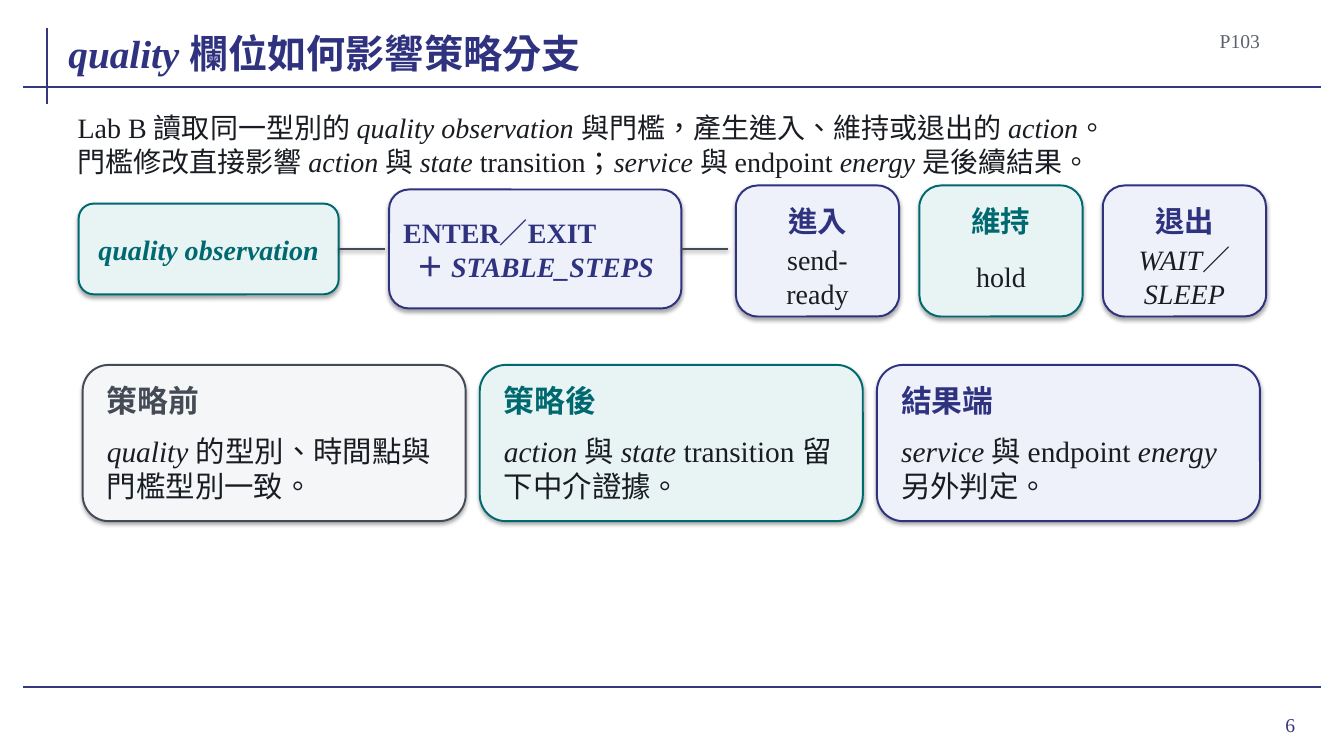
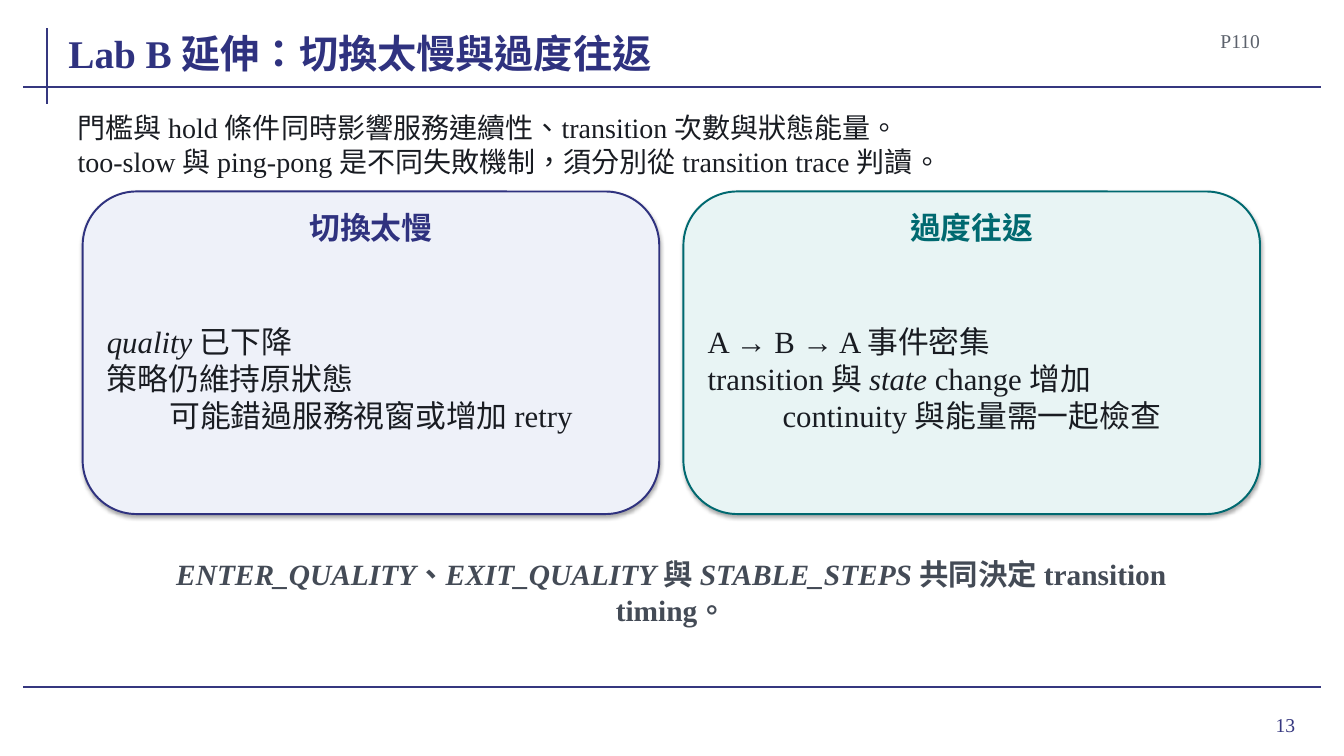
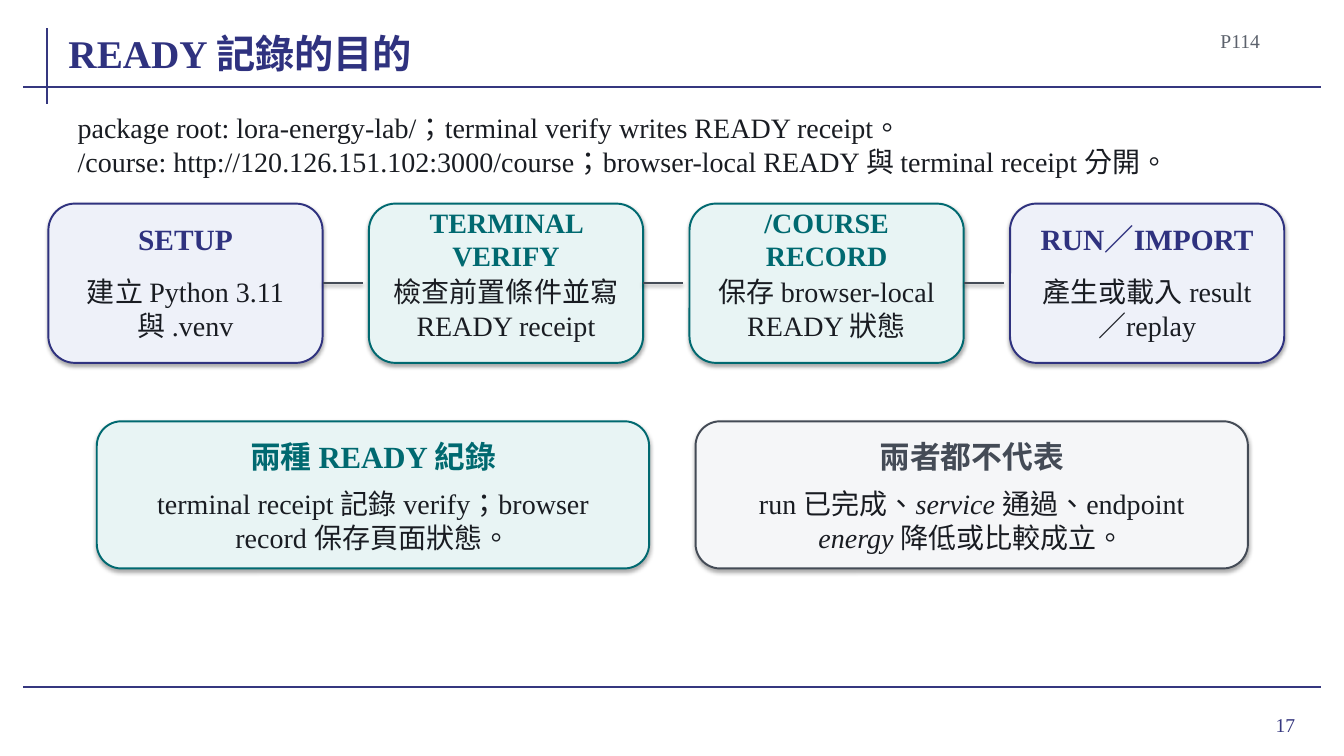
import pptx
import pptx.util
import pptx.dml.color
import pptx.enum.dml
import pptx.enum.lang
import pptx.enum.shapes
import pptx.enum.text
import pptx.oxml
import pptx.oxml.ns

# Shared style: lengths are columns and rows of a grid with 0.1 inch cells
CELL = 0.1
COLS, ROWS = 133.33, 75
FONT = "Times New Roman"
HUES = {"rule": "35377F", "navy": "2F327F", "teal": "006970", "gray": "444B56",
        "ink": "191C22", "mute": "5C626C", "page": "FFFFFF"}
FILLS = {"navy": "EEF1F9", "teal": "E8F4F4", "gray": "F5F6F8"}
ALIGN = pptx.enum.text.PP_ALIGN
LEFT, MID, RIGHT = ALIGN.LEFT, ALIGN.CENTER, ALIGN.RIGHT
ANCHOR = pptx.enum.text.MSO_ANCHOR
FIT = pptx.enum.text.MSO_AUTO_SIZE
LINK_Y = 24.7


def cell(num):
    return pptx.util.Inches(num * CELL)


def tint(code):
    return pptx.dml.color.RGBColor.from_string(code)


def shade(shape, alpha=0, dist=0):
    """Set a soft shadow, or an empty effect list when alpha is 0."""
    props = shape._element.spPr
    old = props.find(pptx.oxml.ns.qn("a:effectLst"))
    if old is not None:
        props.remove(old)
    drop = ""
    if alpha:
        drop = (f'<a:outerShdw blurRad="{pptx.util.Pt(3.1)}" dist="{pptx.util.Pt(dist)}" '
                'dir="5400000" algn="t" rotWithShape="0"><a:srgbClr val="000000">'
                f'<a:alpha val="{alpha * 1000}"/></a:srgbClr></a:outerShdw>')
    props.append(pptx.oxml.parse_xml(
        f'<a:effectLst {pptx.oxml.ns.nsdecls("a")}>{drop}</a:effectLst>'))


def rule(slide, x1, y1, x2, y2, hue="rule"):
    line = slide.shapes.add_connector(pptx.enum.shapes.MSO_CONNECTOR.STRAIGHT,
                                      cell(x1), cell(y1), cell(x2), cell(y2))
    line.line.color.rgb = tint(HUES[hue])
    line.line.width = pptx.util.Pt(1.5)
    shade(line)
    return line


def link(slide, start, x, y, wide):
    """Draw a line from the right side of a box toward the next one."""
    line = rule(slide, x, y, x + wide, y, "gray")
    line.begin_connect(start, 3)
    shade(line, 38, 1.6)


def write(slide, x, y, w, h, text, size=20, hue="ink", bold=False, align=LEFT,
          last=None, anchor=ANCHOR.MIDDLE, inset=0.4, wrap=True, fit=True):
    """Place text; *stars* mark italics, and last aligns the final line."""
    frame = slide.shapes.add_textbox(cell(x), cell(y), cell(w), cell(h)).text_frame
    frame.word_wrap = wrap
    frame.auto_size = FIT.SHAPE_TO_FIT_TEXT if fit else FIT.NONE
    frame.vertical_anchor = anchor
    frame.margin_left = frame.margin_right = cell(inset)
    frame.margin_top = frame.margin_bottom = cell(inset)
    lines = text.split("\n")
    for row, line in enumerate(lines):
        para = frame.paragraphs[0] if row == 0 else frame.add_paragraph()
        para.alignment = last if last and row == len(lines) - 1 else align
        for turn, part in enumerate(line.split("*")):
            if not part:
                continue
            run = para.add_run()
            run.text = part
            font = run.font
            font.name, font.size = FONT, pptx.util.Pt(size)
            font.bold, font.italic = bold, turn % 2 == 1
            font.color.rgb = tint(HUES[hue])
            font.language_id = pptx.enum.lang.MSO_LANGUAGE_ID.TRADITIONAL_CHINESE


def box(slide, tone, x, y, w, h):
    shape = slide.shapes.add_shape(pptx.enum.shapes.MSO_SHAPE.ROUNDED_RECTANGLE,
                                   cell(x), cell(y), cell(w), cell(h))
    shape.fill.solid()
    shape.fill.fore_color.rgb = tint(FILLS[tone])
    shape.line.color.rgb = tint(HUES[tone])
    shape.line.width = pptx.util.Pt(1.4)
    shade(shape, 35, 1.8)
    return shape


def label(slide, tone, x, y, w, h, text, **style):
    """A box with one bold text."""
    shape = box(slide, tone, x, y, w, h)
    write(slide, x + 1, y + 0.8, w - 2, h - 1.6, text, 20, tone, True, **style)
    return shape


def card(slide, tone, x, y, w, h, head, body, big=22, size=20, align=MID, **style):
    """A box with a bold heading above a body text."""
    shape = box(slide, tone, x, y, w, h)
    write(slide, x + 2, y + 1.6, w - 4, 3.8, head, big, tone, True, align)
    write(slide, x + 2, y + 6.4, w - 4, h - 7.8, body, size, align=align, **style)
    return shape


def page(deck, title, code, num, lead):
    """A slide with the common rules, title, page code, number and lead text."""
    slide = deck.slides.add_slide(deck.slide_layouts[6])
    slide.background.fill.solid()
    slide.background.fill.fore_color.rgb = tint(HUES["page"])
    rule(slide, 4.7, 2.8, 4.7, 10.3)
    for y in (8.6, 68.2):
        rule(slide, 2.3, y, 131, y)
    write(slide, 119.6, 69.3, 9.7, 5.2, num, 14, "rule", align=RIGHT, inset=0.8, fit=False)
    write(slide, 6.8, 1.8, 109, 5.8, title, 28, "navy", True,
          anchor=ANCHOR.BOTTOM, inset=0, wrap=False, fit=False)
    write(slide, 117.2, 2.7, 8.2, 2.6, code, 14, "mute", align=RIGHT)
    write(slide, 7.6, 11.2, 117.8, 6.2, lead, inset=0.1)
    return slide


def branch(deck):
    slide = page(deck, "*quality* 欄位如何影響策略分支", "P103", "6",
                 "Lab B 讀取同一型別的 *quality observation* 與門檻，產生進入、維持或退出的 *action*。\n"
                 "門檻修改直接影響 *action* 與 *state *transition；*service* 與 endpoint *energy* 是後續結果。")
    # Flow from input through thresholds
    start = label(slide, "teal", 7.8, 20.2, 25.8, 9, "*quality observation*", align=MID)
    link(slide, start, 33.6, LINK_Y, 4.6)
    gate = label(slide, "navy", 38.6, 18.8, 29, 11.8,
                 "ENTER／EXIT\n＋ *STABLE_STEPS*", last=MID)
    link(slide, gate, 67.6, LINK_Y, 4.6)
    # Three actions
    acts = [("navy", "進入", "send-ready"), ("teal", "維持", "hold"),
            ("navy", "退出", "*WAIT*／*SLEEP*")]
    for col, (tone, head, body) in enumerate(acts):
        card(slide, tone, 73 + 18.2 * col, 18.4, 16.2, 13, head, body, big=21)
    # Three stages of evidence
    parts = [("gray", "策略前", "*quality* 的型別、時間點與門檻型別一致。"),
             ("teal", "策略後", "*action* 與 *state *transition 留下中介證據。"),
             ("navy", "結果端", "*service* 與 endpoint *energy* 另外判定。")]
    for col, (tone, head, body) in enumerate(parts):
        card(slide, tone, 8.2 + 39.4 * col, 36.2, 38, 15.5, head, body,
             size=21, align=LEFT)


def faults(deck):
    slide = page(deck, "Lab B 延伸：切換太慢與過度往返", "P110", "13",
                 "門檻與 hold 條件同時影響服務連續性、transition 次數與狀態能量。\n"
                 "too-slow 與 ping-pong 是不同失敗機制，須分別從 transition trace 判讀。")
    # Two failure modes
    modes = [("navy", "切換太慢", "*quality* 已下降\n策略仍維持原狀態\n可能錯過服務視窗或增加 retry"),
             ("teal", "過度往返", "A → B → A 事件密集\ntransition 與 *state *change 增加\n"
              "continuity 與能量需一起檢查")]
    for col, (tone, head, body) in enumerate(modes):
        x, y, w, h = 8.2 + 59.6 * col, 19, 57.2, 32
        box(slide, tone, x, y, w, h)
        write(slide, x + 2, y + 1.6, w - 4, 3.8, head, 22, tone, True, MID)
        write(slide, x + 2, y + 6.4, w - 4, h - 7.8, body, 22, last=MID)
    # Closing line
    write(slide, 11.8, 54.8, 109.6, 4.6,
          "*ENTER_QUALITY*、*EXIT_QUALITY* 與 *STABLE_STEPS* 共同決定 transition timing。",
          21, "gray", True, MID, anchor=ANCHOR.TOP)


def ready(deck):
    slide = page(deck, "READY 記錄的目的", "P114", "17",
                 "package root: lora-energy-lab/；terminal verify writes READY receipt。\n"
                 "/course: http://120.126.151.102:3000/course；browser-local READY 與 "
                 "terminal receipt 分開。")
    # Four linked steps
    steps = [("navy", "SETUP", "建立 Python 3.11 與 .venv", 21),
             ("teal", "TERMINAL VERIFY", "檢查前置條件並寫 READY receipt", 20),
             ("teal", "/COURSE RECORD", "保存 browser-local READY 狀態", 20),
             ("navy", "RUN／IMPORT", "產生或載入 result／replay", 21)]
    wide, high, top = 27.2, 15.8, 20.2
    for col, (tone, head, body, big) in enumerate(steps):
        x = 4.8 + 31.8 * col
        step = card(slide, tone, x, top, wide, high, head, body, big)
        if col < len(steps) - 1:
            link(slide, step, x + wide, top + high / 2, 4)
    # Two notes
    notes = [("teal", "兩種 READY 紀錄",
              "terminal receipt 記錄 verify；browser record 保存頁面狀態。"),
             ("gray", "兩者都不代表",
              "run 已完成、*service* 通過、endpoint *energy* 降低或比較成立。")]
    for col, (tone, head, body) in enumerate(notes):
        card(slide, tone, 9.6 + 59.4 * col, 41.8, 54.8, 14.6, head, body)


def main():
    deck = pptx.Presentation()
    deck.slide_width, deck.slide_height = cell(COLS), cell(ROWS)
    branch(deck)
    faults(deck)
    ready(deck)
    deck.save("out.pptx")


if __name__ == "__main__":
    main()
